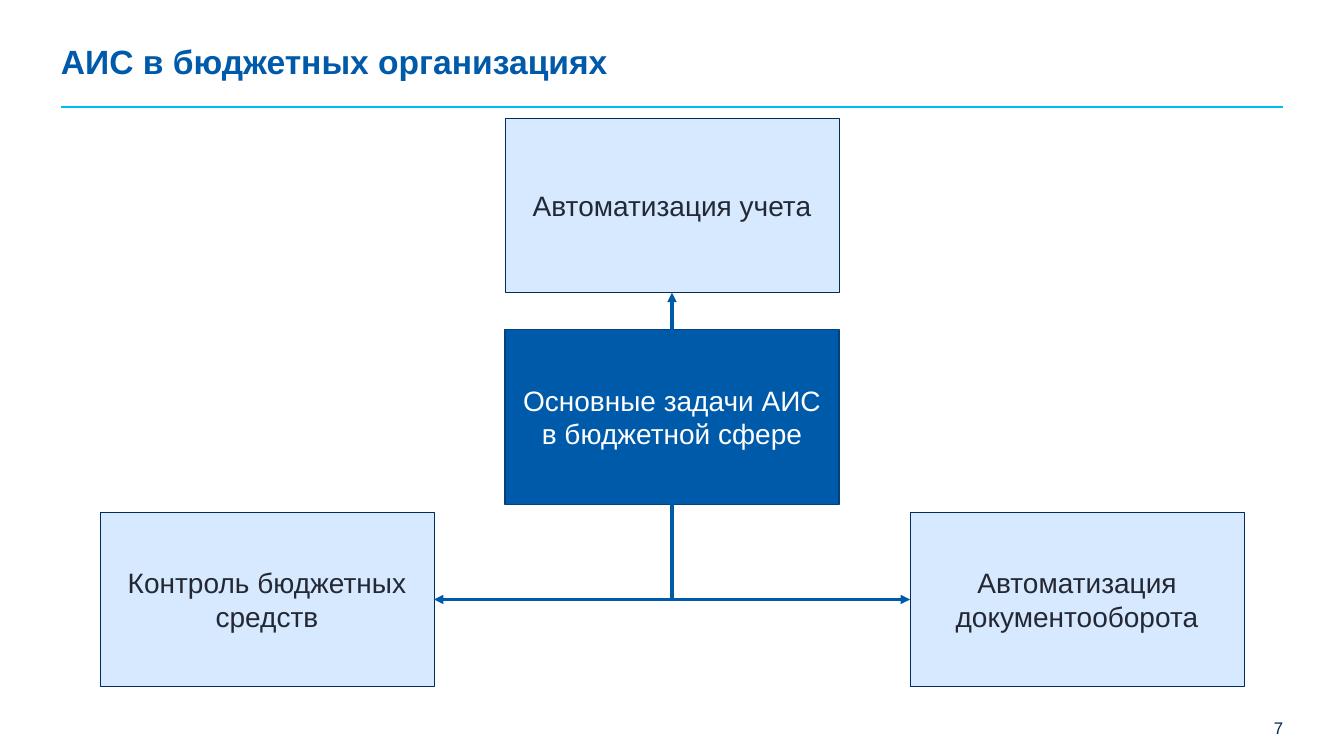
from pptx import Presentation
from pptx.dml.color import RGBColor
from pptx.enum.shapes import MSO_CONNECTOR, MSO_SHAPE
from pptx.enum.text import MSO_ANCHOR, PP_ALIGN
from pptx.oxml.ns import qn
from pptx.util import Pt
from lxml.etree import SubElement

BLUE = RGBColor(0x00, 0x5A, 0xAA)
EDGE = RGBColor(0x00, 0x43, 0x7E)
CYAN = RGBColor(0x00, 0xBE, 0xF3)
PALE = RGBColor(0xD6, 0xE9, 0xFF)
NAVY = RGBColor(0x00, 0x2C, 0x5F)
DEEP = RGBColor(0x00, 0x28, 0x56)
INK = RGBColor(0x24, 0x28, 0x34)
WHITE = RGBColor(0xFF, 0xFF, 0xFF)


def write(shape, text, size=20, color=INK, bold=False, align=PP_ALIGN.CENTER,
          anchor=MSO_ANCHOR.MIDDLE, inset=None, space=None):
    frame = shape.text_frame
    frame.word_wrap = True
    frame.vertical_anchor = anchor
    if inset is not None:
        frame.margin_left = frame.margin_right = Pt(inset)
        frame.margin_top = frame.margin_bottom = Pt(inset)
    par = frame.paragraphs[0]
    par.alignment = align
    par.line_spacing = space
    run = par.add_run()
    run.text = text
    run.font.name = "Arial"
    run.font.size = Pt(size)
    run.font.bold = bold
    run.font.color.rgb = color


def style(line, color, width, arrow=False):
    line.line.color.rgb = color
    line.line.width = Pt(width)
    props = line._element.spPr
    if arrow:
        SubElement(props.find(qn("a:ln")), qn("a:tailEnd"), type="triangle")
    SubElement(props, qn("a:effectLst"))


deck = Presentation()
deck.slide_width, deck.slide_height = Pt(960), Pt(540)
slide = deck.slides.add_slide(deck.slide_layouts[6])
shapes = slide.shapes

# Title, rule and page number
rule = shapes.add_connector(MSO_CONNECTOR.STRAIGHT, Pt(43.5), Pt(76.3), Pt(916.5), Pt(76.3))
style(rule, CYAN, 1.25)
page = shapes.add_textbox(Pt(725), Pt(512.6), Pt(191.5), Pt(14.4))
write(page, "7", size=12, color=DEEP, align=PP_ALIGN.RIGHT,
      anchor=MSO_ANCHOR.TOP, inset=0)
title = shapes.add_textbox(Pt(43.5), Pt(32.4), Pt(873), Pt(26))
write(title, "АИС в бюджетных организациях", size=24, color=BLUE, bold=True,
      align=PP_ALIGN.LEFT, inset=0, space=0.9)

# Boxes, placed by the middle of each column
WIDE, HIGH, MID, STEP = 238.6, 124.8, 480, 289.3
CORE, LOW = 235.4, 365.8
boxes = []
for text, col, top, fill, edge, width, ink in [
    ("Основные задачи АИС в бюджетной сфере", 0, CORE, BLUE, EDGE, 1, WHITE),
    ("Автоматизация учета", 0, 84.3, PALE, NAVY, 0.5, INK),
    ("Контроль бюджетных средств", -1, LOW, PALE, NAVY, 0.5, INK),
    ("Автоматизация документооборота", 1, LOW, PALE, NAVY, 0.5, INK),
]:
    box = shapes.add_shape(MSO_SHAPE.RECTANGLE, Pt(MID + col * STEP - WIDE / 2),
                           Pt(top), Pt(WIDE), Pt(HIGH))
    box.shadow.inherit = False
    box.fill.solid()
    box.fill.fore_color.rgb = fill
    box.line.color.rgb = edge
    box.line.width = Pt(width)
    write(box, text, color=ink)
    boxes.append(box)
core, upper, left, right = boxes

# Arrow to the upper box
arrow = shapes.add_connector(MSO_CONNECTOR.STRAIGHT, 0, 0, 0, 0)
arrow.begin_connect(core, 0)
arrow.end_connect(upper, 2)
style(arrow, BLUE, 2.25, arrow=True)

# One-bend arrows to the lower boxes: a turned frame around each bend
base = CORE + HIGH
drop = LOW + HIGH / 2 - base
reach = STEP - WIDE / 2
for box, site, side, turn, flip in [(left, 3, -1, 90, "0"), (right, 1, 1, 270, "1")]:
    bend = shapes.add_connector(MSO_CONNECTOR.ELBOW, 0, 0, 0, 0)
    bend.begin_connect(core, 2)
    bend.end_connect(box, site)
    bend.left = Pt(MID + side * reach / 2 - drop / 2)
    bend.top = Pt(base + drop / 2 - reach / 2)
    bend.width, bend.height = Pt(drop), Pt(reach)
    props = bend._element.spPr
    props.find(qn("a:prstGeom")).set("prst", "bentConnector2")
    form = props.find(qn("a:xfrm"))
    form.set("rot", str(turn * 60000))
    form.set("flipH", flip)
    form.set("flipV", "0")
    style(bend, BLUE, 2.25, arrow=True)

deck.save("out.pptx")
